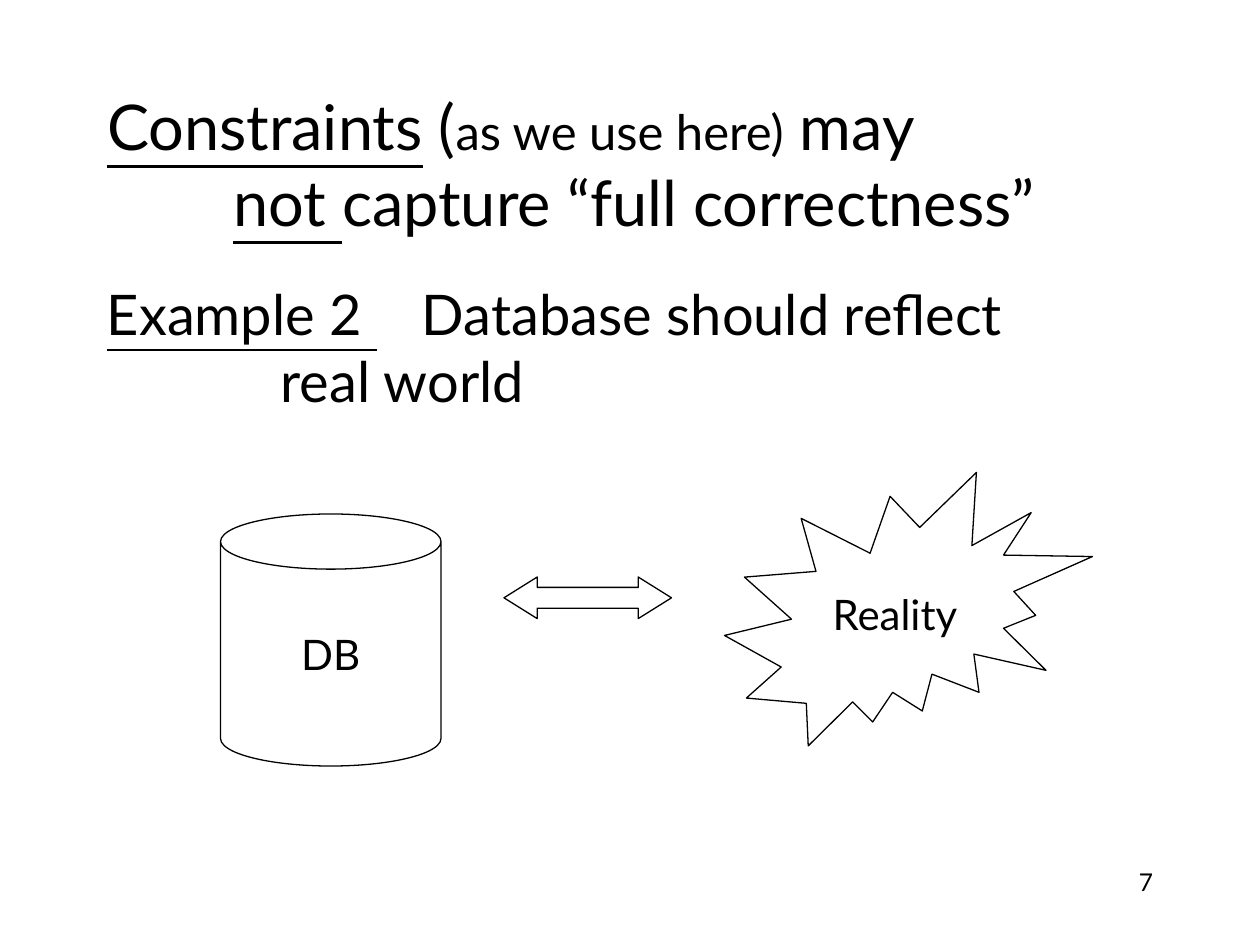
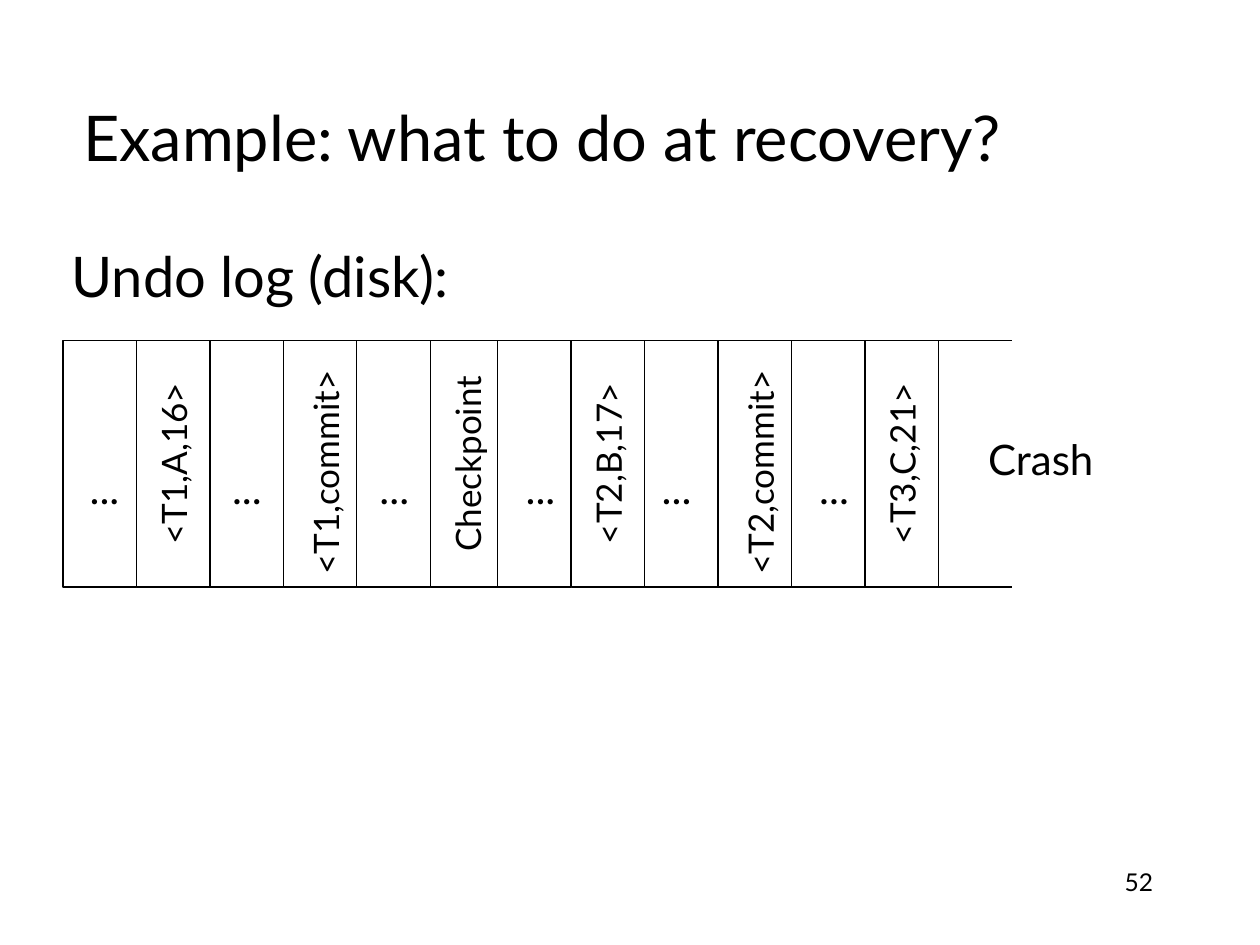
from pptx import Presentation
from pptx.dml.color import RGBColor
from pptx.enum.shapes import MSO_CONNECTOR, MSO_SHAPE
from pptx.enum.text import MSO_ANCHOR, MSO_AUTO_SIZE, PP_ALIGN
from pptx.oxml.ns import qn
from pptx.util import Inches, Pt
from lxml import etree

LEFT, MID, RIGHT = PP_ALIGN.LEFT, PP_ALIGN.CENTER, PP_ALIGN.RIGHT
TOP, CENTER = MSO_ANCHOR.TOP, MSO_ANCHOR.MIDDLE
CAN, BURST = MSO_SHAPE.CAN, MSO_SHAPE.EXPLOSION2
ARROW, RECT = MSO_SHAPE.LEFT_RIGHT_ARROW, MSO_SHAPE.RECTANGLE
STRAIGHT, FIXED = MSO_CONNECTOR.STRAIGHT, MSO_AUTO_SIZE.NONE

FONT = "Lato"
COLORS = {"ink": "000000", "paper": "FFFFFF"}

LIMITS = {
    "page": "7",
    "title": [
        (0, [("Constraints", {"under": True}), (" (", {}),
             ("as we use here)", {"size": 28}), (" may", {})]),
        (1, [("not ", {"under": True}), ("capture “full correctness”", {})]),
    ],
    "title_at": (0.75, 0.67, 8.5, 1.25),
    "body": [
        (0, [("Example 2 ", {"under": True}), ("\tDatabase should reflect", {})]),
        (1.38, [("real world", {})]),
    ],
    "body_at": (0.75, 2.17, 8.5, 1.3),
}
FIGURES = [
    (CAN, (1.75, 4.08, 1.75, 2), [0.25], "DB"),
    (BURST, (5.75, 3.75, 2.92, 2.17), [], "Reality"),
    (ARROW, (4, 4.58, 1.33, 0.33), [0.5, 0.8], ""),
]

RECOVERY = {
    "page": "52",
    "title": "Example: what to do at recovery?",
    "title_at": (0.56, 0.46, 8.5, 1.25),
    "body": "Undo log (disk):",
    "body_at": (0.47, 1.87, 8.5, 0.7),
}
LOG = [
    (0.5, ["", "<T1,A,16>", "", "<T1,commit>", "", "Checkpoint"]),
    (3.95, ["", "<T2,B,17>", "", "<T2,commit>", "", "<T3,C,21>"]),
]
CELL, TALL, LOG_TOP = 0.583, 1.96, 2.7
DOTS = [0.83, 1.96, 3.13, 4.29, 5.37, 6.62]


def ink(name):
    return RGBColor.from_string(COLORS[name])


def inches(box):
    return [Inches(v) for v in box]


def write(shape, text, size=24, align=LEFT, anchor=CENTER, wrap=True, tab=None, top=0.05):
    frame = shape.text_frame
    frame.word_wrap = wrap
    frame.auto_size = FIXED
    frame.vertical_anchor = anchor
    frame.margin_left = frame.margin_right = Inches(0.1)
    frame.margin_top, frame.margin_bottom = Inches(top), Inches(0.05)
    paras = [(0, [(text, {})])] if isinstance(text, str) else text
    for i, (indent, runs) in enumerate(paras):
        para = frame.paragraphs[0] if i == 0 else frame.add_paragraph()
        props = para._p.get_or_add_pPr()
        props.set("marL", str(Inches(indent)))
        props.set("indent", "0")
        if tab:
            stops = etree.SubElement(props, qn("a:tabLst"))
            etree.SubElement(stops, qn("a:tab"), pos=str(Inches(tab)), algn="l")
        para.alignment = align
        for words, style in runs:
            run = para.add_run()
            run.text = words
            font = run.font
            font.name = FONT
            font.size = Pt(style.get("size", size))
            font.underline = style.get("under", False)
            font.color.rgb = ink("ink")


def label(slide, box, text, **style):
    write(slide.shapes.add_textbox(*inches(box)), text, **style)


def draw(shapes, kind, box, adjust=()):
    shape = shapes.add_shape(kind, *inches(box))
    shape.shadow.inherit = False
    shape.fill.solid()
    shape.fill.fore_color.rgb = ink("paper")
    shape.line.color.rgb = ink("ink")
    shape.line.width = Pt(0.75)
    for i, value in enumerate(adjust):
        shape.adjustments[i] = value
    return shape


def rule(slide, left, right, y):
    line = slide.shapes.add_connector(STRAIGHT, *inches((left, y, right, y)))
    line.line.color.rgb = ink("ink")
    line.line.width = Pt(0.75)
    etree.SubElement(line._element.spPr, qn("a:effectLst"))


def start(deck, data):
    slide = deck.slides.add_slide(deck.slide_layouts[5])
    title = slide.shapes.title
    title.left, title.top, title.width, title.height = inches(data["title_at"])
    write(title, data["title"], size=36)
    label(slide, data["body_at"], data["body"], size=32, anchor=TOP, tab=2.6)
    label(slide, (7.17, 6.83, 2.08, 0.5), data["page"], size=14, align=RIGHT, anchor=TOP)
    return slide


def limits(deck):
    slide = start(deck, LIMITS)
    for kind, box, adjust, text in FIGURES:
        shape = draw(slide.shapes, kind, box, adjust)
        if text:
            write(shape, text, align=MID, wrap=False)


def recovery(deck):
    slide = start(deck, RECOVERY)
    for left, cells in LOG:
        group = slide.shapes.add_group_shape().shapes
        for i, text in enumerate(cells):
            mid = left + (i + 0.5) * CELL
            box = (mid - TALL / 2, LOG_TOP + (TALL - CELL) / 2, TALL, CELL)
            cell = draw(group, RECT, box)
            cell.rotation = 270
            if "commit" in text:
                write(cell, text, size=20, top=0.13)
            elif text:
                write(cell, text, size=20, align=MID, wrap=False)
    end = LOG[-1][0] + len(LOG[-1][1]) * CELL
    for y in (LOG_TOP, LOG_TOP + TALL):
        rule(slide, end, end + CELL, y)
    label(slide, (7.71, 3.39, 1.1, 0.5), "Crash", align=MID, wrap=False)
    for mid in DOTS:
        label(slide, (mid - 0.25, 3.62, 0.5, 0.5), "...", align=MID, wrap=False)


def main():
    deck = Presentation()
    deck.slide_width, deck.slide_height = Inches(10), Inches(7.5)
    limits(deck)
    recovery(deck)
    deck.save("out.pptx")


if __name__ == "__main__":
    main()
